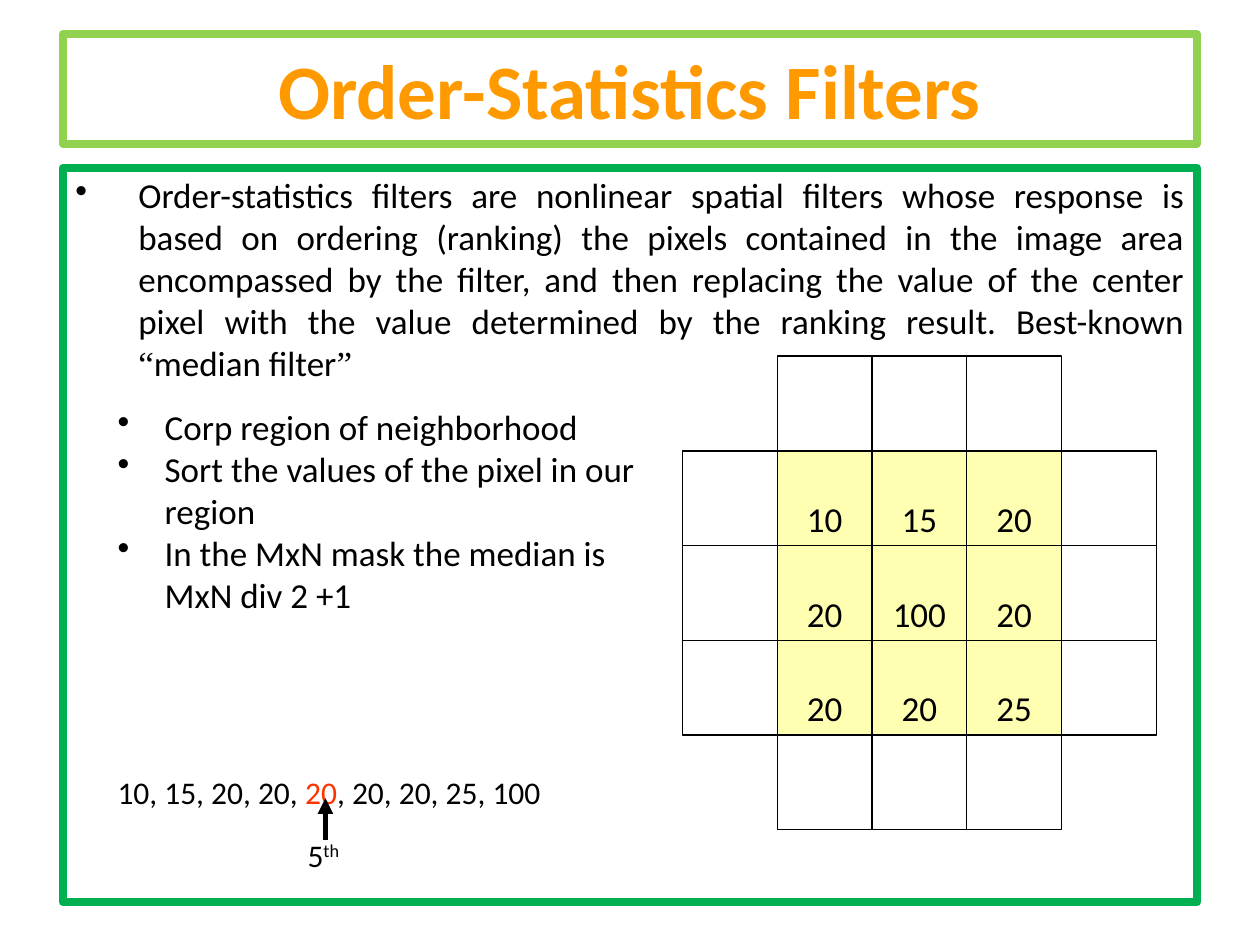
from dataclasses import dataclass

from pptx import Presentation
from pptx.dml.color import RGBColor
from pptx.enum.shapes import MSO_CONNECTOR as Connector, MSO_SHAPE as Shape
from pptx.enum.text import MSO_ANCHOR as Anchor, PP_ALIGN as Align
from pptx.oxml.ns import qn
from pptx.util import Cm, Pt
from lxml.etree import SubElement


@dataclass(frozen=True)
class Theme:
    ink: str = "000000"
    title: str = "FF9900"
    title_frame: str = "92D050"
    body_frame: str = "00B050"
    mask: str = "FFFF66"
    median: str = "FF3300"
    font: str = "Calibri"
    quote_font: str = "Times New Roman"
    title_size: int = 44
    body_size: int = 20
    note_size: int = 18
    frame_width: float = 4.5
    grid_width: float = 0.75
    arrow_width: float = 3


class SlideBuilder:
    def __init__(self, page, theme):
        self.page = page
        self.theme = theme

    def fill_text(self, box, paragraphs, size, align=Align.LEFT, anchor=Anchor.TOP,
                  wrap=True, bullet_indent=None):
        """Fill a box; each paragraph is a list of (text, format) spans."""
        frame = box.text_frame
        frame.word_wrap = wrap
        frame.vertical_anchor = anchor
        for index, spans in enumerate(paragraphs):
            para = frame.add_paragraph() if index else frame.paragraphs[0]
            para.alignment = align
            if bullet_indent:
                self.add_bullet(para, bullet_indent)
            for text, changes in spans:
                self.add_span(para, text, size, **changes)

    def add_span(self, para, text, size, color=None, raised=False, **changes):
        span = para.add_run()
        span.text = text
        span.font.color.rgb = RGBColor.from_string(color or self.theme.ink)
        style = {"name": self.theme.font, "size": Pt(size), "bold": False} | changes
        for name, value in style.items():
            setattr(span.font, name, value)
        if raised:
            span.font._element.set("baseline", "30000")

    def add_bullet(self, para, indent):
        properties = para._p.get_or_add_pPr()
        properties.set("marL", str(Cm(indent)))
        properties.set("indent", str(-Cm(indent)))
        SubElement(properties, qn("a:buChar")).set("char", "•")

    def rectangle(self, place, line_color, line_width, fill=None, opacity=100):
        box = self.page.shapes.add_shape(Shape.RECTANGLE, *map(Cm, place))
        box.shadow.inherit = False
        box.line.color.rgb = RGBColor.from_string(line_color)
        box.line.width = Pt(line_width)
        if fill:
            box.fill.solid()
            box.fill.fore_color.rgb = RGBColor.from_string(fill)
            color = box._element.spPr.find(qn("a:solidFill"))[0]
            SubElement(color, qn("a:alpha")).set("val", str(opacity * 1000))
        else:
            box.fill.background()
        return box

    def text(self, place, paragraphs, size, **layout):
        box = self.page.shapes.add_textbox(*map(Cm, place))
        self.fill_text(box, paragraphs, size, **layout)

    def arrow(self, start, end):
        line = self.page.shapes.add_connector(
            Connector.STRAIGHT, *map(Cm, start + end))
        line.line.color.rgb = RGBColor.from_string(self.theme.ink)
        line.line.width = Pt(self.theme.arrow_width)
        properties = line._element.spPr
        SubElement(properties.find(qn("a:ln")), qn("a:tailEnd")).set("type", "triangle")
        SubElement(properties, qn("a:effectLst"))

    def pixel_grid(self, left, top, cell, values):
        """Draw the mask values and a ring of empty cells without corners."""
        theme = self.theme
        last = len(values) + 1
        for row in range(last + 1):
            for column in range(last + 1):
                edges = (row in (0, last)) + (column in (0, last))
                if edges == 2:
                    continue
                place = (left + column * cell, top + row * cell, cell, cell)
                if edges:
                    self.rectangle(place, theme.ink, theme.grid_width)
                    continue
                box = self.rectangle(place, theme.ink, theme.grid_width,
                                     fill=theme.mask, opacity=50)
                value = str(values[row - 1][column - 1])
                self.fill_text(box, [[(value, {})]], theme.body_size,
                               align=Align.CENTER, anchor=Anchor.BOTTOM, wrap=False)


DEFINITION = (
    "Order-statistics filters are nonlinear spatial filters whose response is "
    "based on ordering (ranking) the pixels contained in the image area "
    "encompassed by the filter, and then replacing the value of the center pixel "
    "with the value determined by the ranking result. Best-known ")
STEPS = [
    "Corp region of neighborhood",
    "Sort the values of the pixel in our region",
    "In the MxN mask the median is MxN div 2 +1",
]
PIXELS = [(10, 15, 20), (20, 100, 20), (20, 20, 25)]


def main():
    theme = Theme()
    deck = Presentation()
    deck.slide_width, deck.slide_height = Cm(25.4), Cm(19.05)
    slide = SlideBuilder(deck.slides.add_slide(deck.slide_layouts[6]), theme)

    title = slide.rectangle((1.27, 0.69, 22.86, 2.21),
                            theme.title_frame, theme.frame_width)
    slide.fill_text(
        title, [[("Order-Statistics Filters", {"color": theme.title, "bold": True})]],
        theme.title_size, align=Align.CENTER, anchor=Anchor.MIDDLE)

    quote = {"name": theme.quote_font}
    body = slide.rectangle((1.27, 3.38, 22.86, 14.81),
                           theme.body_frame, theme.frame_width)
    slide.fill_text(
        body, [[(DEFINITION, {}), ("“", quote), ("median filter", {}), ("”", quote)]],
        theme.body_size, align=Align.JUSTIFY, bullet_indent=1.27)

    slide.pixel_grid(13.76, 7.18, 1.91, PIXELS)

    ranked = sorted(value for row in PIXELS for value in row)
    middle = len(ranked) // 2
    before = "".join(f"{value}, " for value in ranked[:middle])
    after = "".join(f", {value}" for value in ranked[middle + 1:])
    slide.text((2.12, 15.45, 9.1, 1.02),
               [[(before, {}), (str(ranked[middle]), {"color": theme.median}),
                 (after, {})]], theme.note_size)
    slide.text((5.95, 16.72, 1.14, 1.02),
               [[(str(middle + 1), {}), ("th", {"raised": True})]],
               theme.note_size, wrap=False)
    slide.arrow((6.56, 16.93), (6.56, 16.09))

    slide.text((2.12, 8.04, 11.22, 4.88), [[(step, {})] for step in STEPS],
               theme.body_size, bullet_indent=0.95)

    deck.save("out.pptx")


if __name__ == "__main__":
    main()
